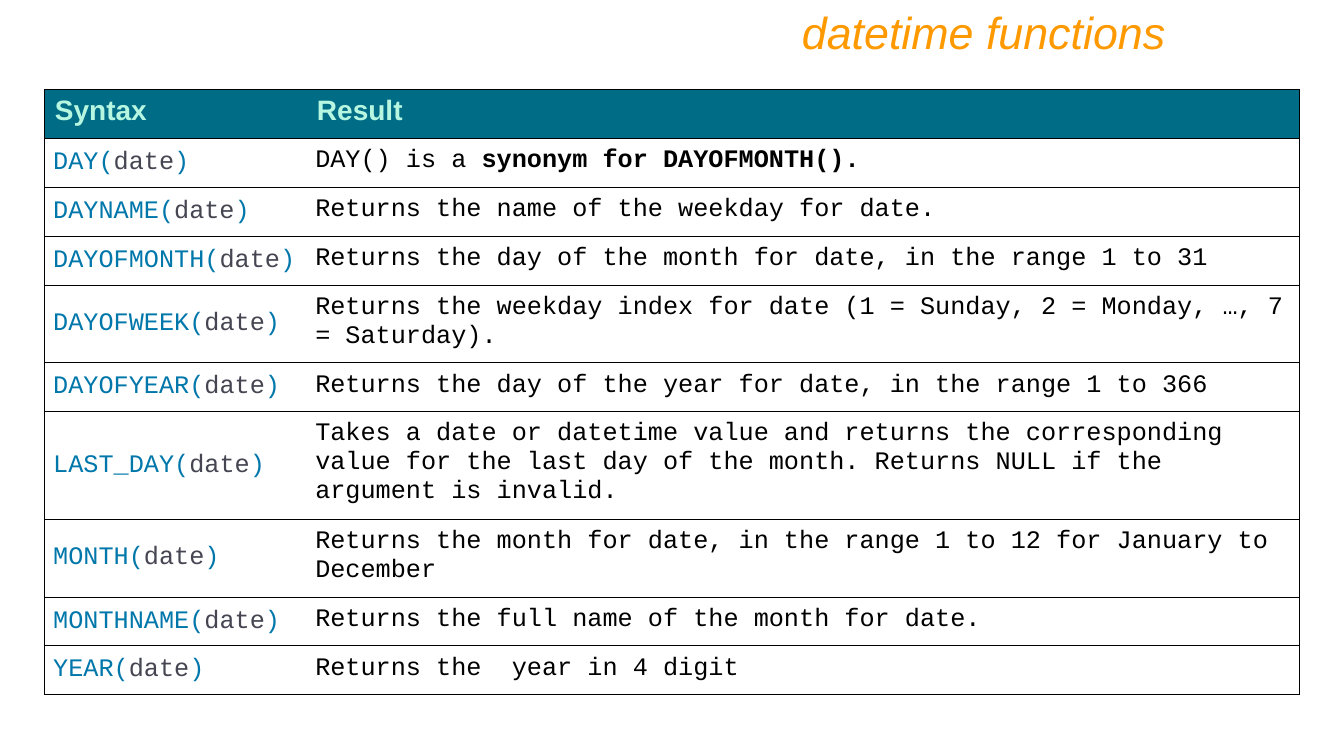
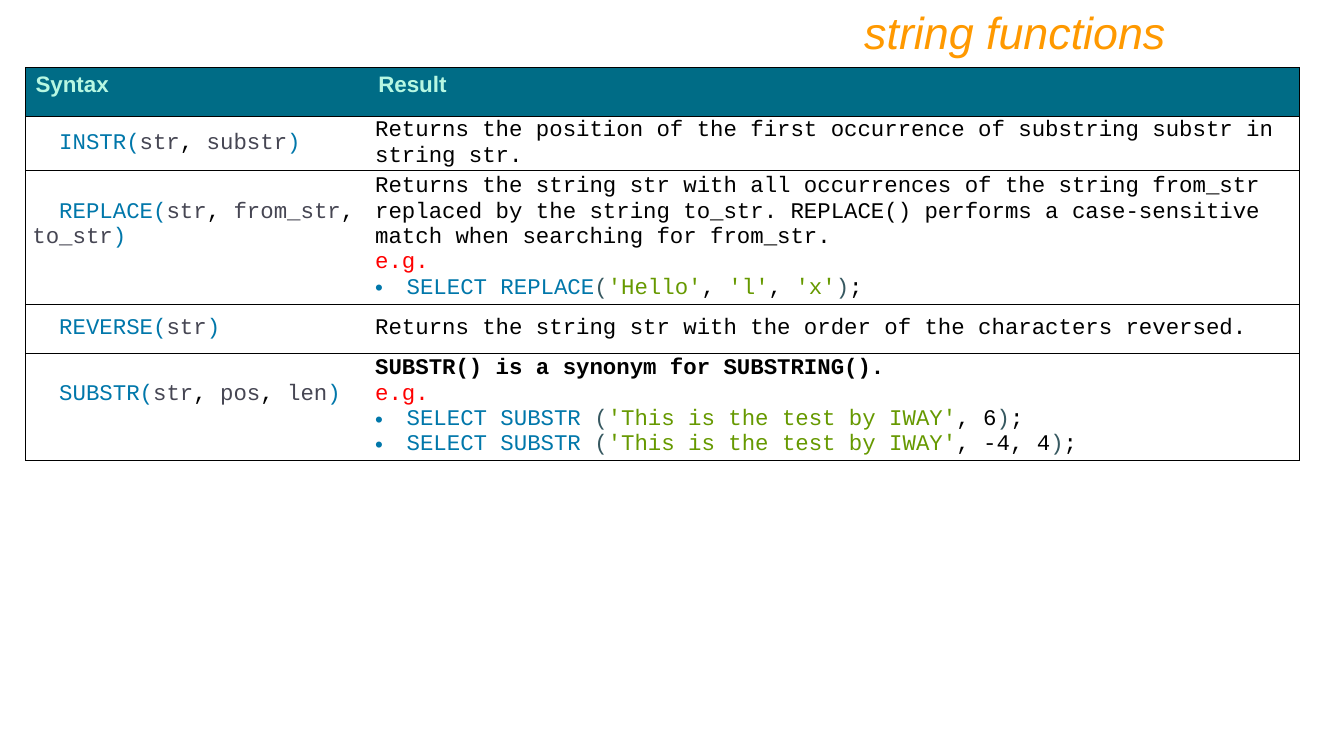
from lxml import etree
from pptx import Presentation
from pptx.dml.color import RGBColor
from pptx.enum.text import MSO_ANCHOR, MSO_AUTO_SIZE, PP_ALIGN
from pptx.oxml.ns import qn
from pptx.util import Pt

TOP, MIDDLE = MSO_ANCHOR.TOP, MSO_ANCHOR.MIDDLE
RIGHT = PP_ALIGN.RIGHT
NO_AUTOFIT = MSO_AUTO_SIZE.NONE
TITLE_ONLY = 5

SANS, MONO = "Arial", "Courier New"
ORANGE, TEAL, MINT = "FF9900", "006C86", "B7F7E2"
BLUE, GRAY, BLACK = "0077AA", "464653", "000000"
RED, GREEN, SLATE = "FF0000", "669900", "365860"

HEADER_HEIGHT = 35
HEADER_MARGINS = (7.2, 3.6, 7.2, 3.6)
BULLET_INDENT = 22.5


def color(value):
    return RGBColor.from_string(value)


# Text
def add_run(paragraph, text, size, font, text_color, bold=False, italic=False):
    run = paragraph.add_run()
    run.text = text
    run.font.size = Pt(size)
    run.font.name = font
    run.font.bold = bold
    run.font.italic = italic
    run.font.color.rgb = color(text_color)


def add_bullet(paragraph):
    properties = paragraph._p.get_or_add_pPr()
    properties.set("marL", str(Pt(BULLET_INDENT)))
    properties.set("indent", str(-Pt(BULLET_INDENT)))
    etree.SubElement(properties, qn("a:buFont")).set("typeface", SANS)
    etree.SubElement(properties, qn("a:buChar")).set("char", "•")


def signature(name, *arguments, indent=""):
    """Runs of a function call: blue name and brackets, gray arguments."""
    runs = [(f"{indent}{name}(", BLUE)]
    for index, argument in enumerate(arguments):
        if index:
            runs += [(",", BLACK), (" " + argument, GRAY)]
        else:
            runs.append((argument, GRAY))
    return [runs + [(")", BLUE)]]


def plain(text, bold=False):
    return [(text, BLACK, bold)]


def example(statement, *arguments):
    """Runs of a SELECT statement with its coloured arguments."""
    return [(statement, BLUE), ("(", SLATE), *arguments, (")", SLATE), (";", BLACK)]


EXAMPLE_LABEL = [("e.g.", RED)]


# Table cells
def set_borders(cell, sides):
    properties = cell._tc.get_or_add_tcPr()
    for side in "LRTB":
        line = etree.SubElement(properties, qn("a:ln" + side))
        if side in sides:
            line.set("w", str(Pt(0.75)))
            fill = etree.SubElement(line, qn("a:solidFill"))
            etree.SubElement(fill, qn("a:srgbClr")).set("val", BLACK)
        else:
            line.set("w", "0")
            etree.SubElement(line, qn("a:noFill"))


def fill_cell(cell, paragraphs, size, font, margins, anchor, fill=None):
    if fill:
        cell.fill.solid()
        cell.fill.fore_color.rgb = color(fill)
    else:
        cell.fill.background()
    cell.vertical_anchor = anchor
    (cell.margin_left, cell.margin_top,
     cell.margin_right, cell.margin_bottom) = map(Pt, margins)
    frame = cell.text_frame
    for index, runs in enumerate(paragraphs):
        paragraph = frame.add_paragraph() if index else frame.paragraphs[0]
        if runs[0][0].startswith("SELECT"):
            add_bullet(paragraph)
        for text, text_color, *bold in runs:
            add_run(paragraph, text, size, font, text_color, bold=any(bold))


# Slide parts
def add_title(slide, text):
    title = slide.shapes.title
    title.left, title.top, title.width, title.height = map(Pt, (120, 0, 720, 46))
    frame = title.text_frame
    frame.auto_size = NO_AUTOFIT
    frame.word_wrap = True
    frame.vertical_anchor = TOP
    paragraph = frame.paragraphs[0]
    paragraph.alignment = RIGHT
    add_run(paragraph, text, 32, SANS, ORANGE, italic=True)


def add_function_table(slide, left, top, widths, rows, style):
    """Rows are (height, syntax, result, extra space under the syntax)."""
    heights = [HEADER_HEIGHT] + [row[0] for row in rows]
    frame = slide.shapes.add_table(
        len(heights), len(widths), Pt(left), Pt(top), Pt(sum(widths)), Pt(sum(heights)))
    table = frame.table
    table.first_row = table.horz_banding = False
    for column, width in zip(table.columns, widths):
        column.width = Pt(width)
    for row, height in zip(table.rows, heights):
        row.height = Pt(height)
        for cell, side in zip(row.cells, "LR"):
            set_borders(cell, side + "TB")

    for column, heading in enumerate(("Syntax", "Result")):
        fill_cell(table.cell(0, column), [[(heading, MINT, True)]],
                  style["header_size"], SANS, HEADER_MARGINS, TOP, TEAL)

    side, vertical = style["margins"]
    for index, (_, syntax, result, extra) in enumerate(rows, 1):
        fill_cell(table.cell(index, 0), syntax, style["size"], MONO,
                  (side, vertical, side, vertical + extra), MIDDLE)
        fill_cell(table.cell(index, 1), result, style["size"], MONO,
                  (side, vertical, side, vertical), style["result_anchor"])


def add_function_slide(presentation, title, **table):
    slide = presentation.slides.add_slide(presentation.slide_layouts[TITLE_ONLY])
    add_title(slide, title)
    add_function_table(slide, **table)


# Content
ROW_HEIGHTS = {1: 34.9, 2: 55.4, 3: 77.1}  # by number of text lines
DATE_FUNCTIONS = [
    ("DAY", 1, [("DAY() is a ", BLACK), ("synonym for DAYOFMONTH().", BLACK, True)]),
    ("DAYNAME", 1, plain("Returns the name of the weekday for date.")),
    ("DAYOFMONTH", 1, plain("Returns the day of the month for date, in the range 1 to 31")),
    ("DAYOFWEEK", 2, plain("Returns the weekday index for date "
                           "(1 = Sunday, 2 = Monday, …, 7 = Saturday).")),
    ("DAYOFYEAR", 1, plain("Returns the day of the year for date, in the range 1 to 366")),
    ("LAST_DAY", 3, plain("Takes a date or datetime value and returns the corresponding "
                          "value for the last day of the month. "
                          "Returns NULL if the argument is invalid.")),
    ("MONTH", 2, plain("Returns the month for date, in the range 1 to 12 "
                       "for January to December")),
    ("MONTHNAME", 1, plain("Returns the full name of the month for date.")),
    ("YEAR", 1, plain("Returns the  year in 4 digit")),
]
DATE_ROWS = [(ROW_HEIGHTS[lines], signature(name, "date"), [result], 0)
             for name, lines, result in DATE_FUNCTIONS]

INDENT = "  "
SAMPLE = ("'This is the test by IWAY'", GREEN)
COMMA = (", ", BLACK)
STRING_ROWS = [
    (38.6, signature("INSTR", "str", "substr", indent=INDENT),
     [plain("Returns the position of the first occurrence of substring "
            "substr in string str.")], 0),
    (95.8, signature("REPLACE", "str", "from_str", "to_str", indent=INDENT),
     [plain("Returns the string str with all occurrences of the string from_str "
            "replaced by the string to_str. REPLACE() performs a case-sensitive "
            "match when searching for from_str."),
      EXAMPLE_LABEL,
      example("SELECT REPLACE", ("'Hello'", GREEN), COMMA,
              ("'l'", GREEN), COMMA, ("'x'", GREEN))], 18),
    (34.9, signature("REVERSE", "str", indent=INDENT),
     [plain("Returns the string str with the order of the characters reversed.")], 0),
    (76.5, signature("SUBSTR", "str", "pos", "len", indent=INDENT),
     [plain("SUBSTR() is a synonym for SUBSTRING().", True),
      EXAMPLE_LABEL,
      example("SELECT SUBSTR ", SAMPLE, (", 6", BLACK)),
      example("SELECT SUBSTR ", SAMPLE, (", -4, 4", BLACK))], 18),
]


def main():
    presentation = Presentation()
    presentation.slide_width, presentation.slide_height = Pt(960), Pt(540)
    add_function_slide(
        presentation, "datetime functions",
        left=32, top=64, widths=(187.2, 708.8), rows=DATE_ROWS,
        style={"header_size": 20, "size": 18, "margins": (6, 6), "result_anchor": TOP})
    add_function_slide(
        presentation, "string functions",
        left=18.2, top=48.2, widths=(244.8, 665.2), rows=STRING_ROWS,
        style={"header_size": 16, "size": 16, "margins": (5, 0), "result_anchor": MIDDLE})
    presentation.save("out.pptx")


if __name__ == "__main__":
    main()
